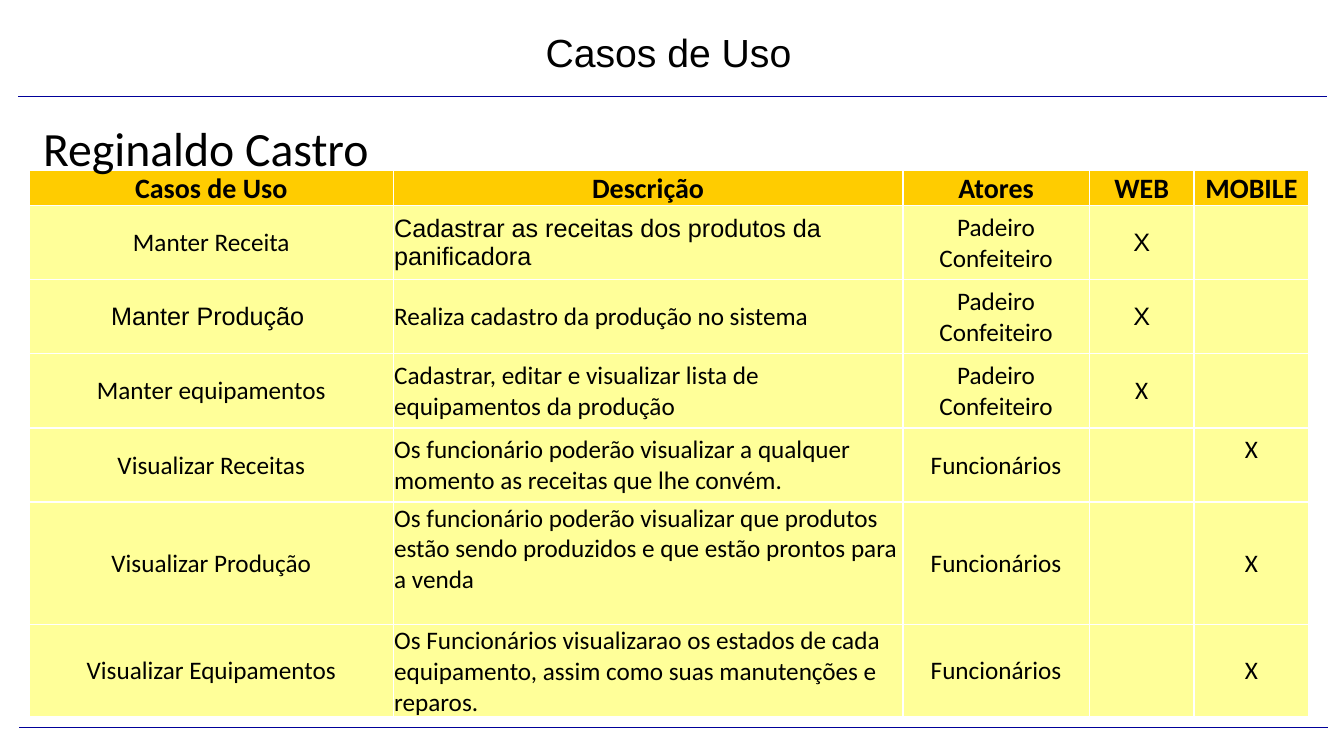
from lxml.etree import SubElement
from pptx import Presentation
from pptx.dml.color import RGBColor
from pptx.enum.shapes import MSO_CONNECTOR
from pptx.enum.text import MSO_ANCHOR, MSO_AUTO_SIZE, PP_ALIGN
from pptx.oxml.ns import qn
from pptx.util import Pt

TITLE = "Casos de Uso"
AUTHOR = "Reginaldo Castro"
HEADER = ["Casos de Uso", "Descrição", "Atores", "WEB", "MOBILE"]
BAKERS = "Padeiro\nConfeiteiro"
STAFF = "Funcionários"
USE_CASES = [
    ["Manter Receita", "Cadastrar as receitas dos produtos da panificadora", BAKERS, "X", ""],
    ["Manter Produção ", "Realiza cadastro da produção no sistema", BAKERS, "X", ""],
    ["Manter equipamentos", "Cadastrar, editar e visualizar lista de equipamentos da produção",
     BAKERS, "X", ""],
    ["Visualizar Receitas",
     "Os funcionário poderão visualizar a qualquer momento as receitas que lhe convém.",
     STAFF, "", "X"],
    ["Visualizar Produção",
     "Os funcionário poderão visualizar que produtos estão sendo produzidos "
     "e que estão prontos para a venda", STAFF, "", "X"],
    ["Visualizar Equipamentos",
     "Os Funcionários visualizarao os estados de cada equipamento, "
     "assim como suas manutenções e reparos.", STAFF, "", "X"],
]
ARIAL_CELLS = {(1, 1), (1, 3), (2, 0), (2, 3)}
RAISED_CELLS = {(4, 4), (5, 1)}  # text sits one line higher than the middle

THEME = {
    "text": "000000", "rule": "000099", "header": "FFCC00", "body": "FFFF99", "border": "FFFFFF",
    "sans": "Arial", "table": "Calibri",
    "title_size": 28, "author_size": 34.1, "header_size": 20, "body_size": 18,
}
COLUMN_WIDTHS = [260, 364.3, 133.2, 74.9, 82]
ROW_HEIGHTS = [24.7, 53, 53, 53, 53, 87.6, 64.5]
RULES = [(13, 69.1), (13.7, 519.8)]
RULE_LENGTH = 935.3


def write(tf, text, *, font, size, bold=False, align=PP_ALIGN.LEFT):
    for i, line in enumerate(text.split("\n")):
        p = tf.paragraphs[0] if i == 0 else tf.add_paragraph()
        p.alignment = align
        p.font.size = Pt(size)
        r = p.add_run()
        r.text = line
        r.font.name, r.font.size, r.font.bold = font, Pt(size), bold
        r.font.color.rgb = RGBColor.from_string(THEME["text"])


def add_text(s, box, text, anchor, **style):
    tf = s.shapes.add_textbox(*map(Pt, box)).text_frame
    tf.word_wrap = True
    tf.vertical_anchor = anchor
    write(tf, text, **style)
    return tf


def add_rule(s, left, top):
    line = s.shapes.add_connector(
        MSO_CONNECTOR.STRAIGHT, Pt(left), Pt(top), Pt(left + RULE_LENGTH), Pt(top))
    line.line.color.rgb = RGBColor.from_string(THEME["rule"])
    line.line.width = Pt(0.75)
    SubElement(line._element.spPr, qn("a:effectLst"))


def set_borders(cell):
    tcPr = cell._tc.get_or_add_tcPr()
    for i, side in enumerate(("lnL", "lnR", "lnT", "lnB")):
        ln = tcPr.makeelement(qn(f"a:{side}"), {"w": str(Pt(1))})
        fill = SubElement(ln, qn("a:solidFill"))
        SubElement(fill, qn("a:srgbClr"), val=THEME["border"])
        tcPr.insert(i, ln)


def add_use_case_table(s):
    rows = [HEADER, *USE_CASES]
    table = s.shapes.add_table(
        len(rows), len(HEADER), Pt(21), Pt(122),
        Pt(sum(COLUMN_WIDTHS)), Pt(sum(ROW_HEIGHTS))).table
    for column, width in zip(table.columns, COLUMN_WIDTHS):
        column.width = Pt(width)
    for row, height in zip(table.rows, ROW_HEIGHTS):
        row.height = Pt(height)
    for i, row in enumerate(rows):
        kind = "header" if i == 0 else "body"
        for j, text in enumerate(row):
            cell = table.cell(i, j)
            cell.vertical_anchor = MSO_ANCHOR.MIDDLE
            cell.margin_left = cell.margin_right = cell.margin_top = Pt(0.7)
            cell.margin_bottom = Pt(21.6 if (i, j) in RAISED_CELLS else 0)
            cell.fill.solid()
            cell.fill.fore_color.rgb = RGBColor.from_string(THEME[kind])
            set_borders(cell)
            if text:
                write(cell.text_frame, text,
                      font=THEME["sans" if (i, j) in ARIAL_CELLS else "table"],
                      size=THEME[f"{kind}_size"], bold=i == 0,
                      align=PP_ALIGN.LEFT if i and j == 1 else PP_ALIGN.CENTER)


def main():
    prs = Presentation()
    prs.slide_width, prs.slide_height = Pt(960.5), Pt(540)
    s = prs.slides.add_slide(prs.slide_layouts[6])
    for left, top in RULES:
        add_rule(s, left, top)
    title = add_text(s, (140.4, 16.6, 674.6, 41), TITLE, MSO_ANCHOR.TOP,
                     font=THEME["sans"], size=THEME["title_size"], align=PP_ALIGN.CENTER)
    title.auto_size = MSO_AUTO_SIZE.SHAPE_TO_FIT_TEXT
    add_use_case_table(s)
    add_text(s, (23.8, 84.2, 756, 41.8), AUTHOR, MSO_ANCHOR.MIDDLE,
             font=THEME["table"], size=THEME["author_size"])
    prs.save("out.pptx")


if __name__ == "__main__":
    main()
